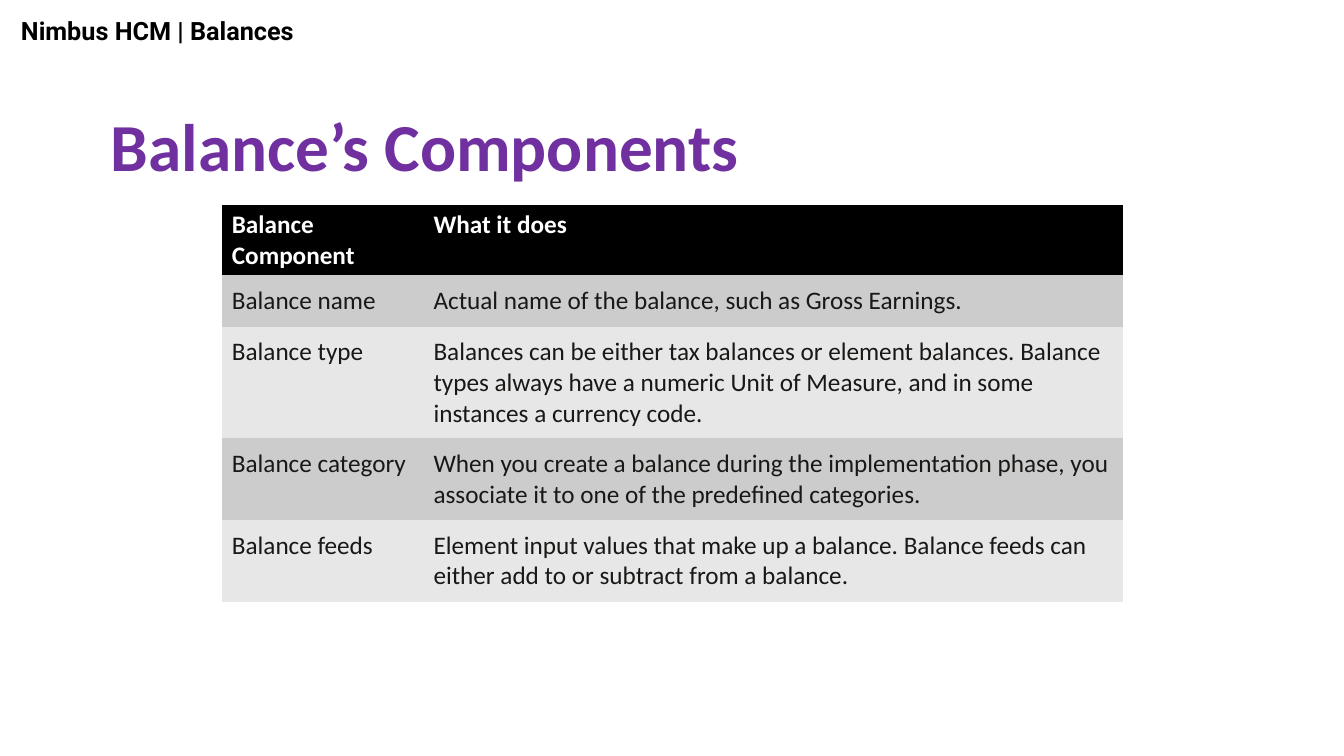
from pptx import Presentation
from pptx.dml.color import RGBColor
from pptx.enum.text import MSO_ANCHOR, PP_ALIGN
from pptx.oxml.ns import qn
from pptx.util import Inches, Pt

LEFT = PP_ALIGN.LEFT
TOP = MSO_ANCHOR.TOP
TITLE_ONLY_LAYOUT = 5
PLAIN_TABLE_STYLE = "{2D5ABB26-0587-4C30-8999-92F81FD0307C}"

COLUMN_WIDTHS = (2, 6.94)
ROW_HEIGHTS = (0.7, 0.51, 1.11, 0.81, 0.81)
HEADER_FILL = "000000"
BAND_FILLS = ("E7E7E7", "CCCCCC")
COMPONENTS = (
    ("Balance Component", "What it does"),
    ("Balance name", "Actual name of the balance, such as Gross Earnings."),
    ("Balance type",
     "Balances can be either tax balances or element balances. Balance types always "
     "have a numeric Unit of Measure, and in some instances a currency code."),
    ("Balance category",
     "When you create a balance during the implementation phase, you associate it "
     "to one of the predefined categories."),
    ("Balance feeds",
     "Element input values that make up a balance. Balance feeds can either add to "
     "or subtract from a balance."),
)


def color(value):
    return RGBColor.from_string(value)


def write_text(text_frame, text, size, font_name, font_color, bold):
    text_frame.text = text
    paragraph = text_frame.paragraphs[0]
    paragraph.alignment = LEFT
    font = paragraph.font
    font.size = Pt(size)
    font.name = font_name
    font.color.rgb = color(font_color)
    font.bold = bold


def add_course_label(slide):
    shape = slide.shapes.add_textbox(Inches(0.11), Inches(0.1), Inches(6.74), Inches(0.4))
    shape.text_frame.word_wrap = True
    write_text(shape.text_frame, "Nimbus HCM | Balances", 18, "Roboto", "000000", True)


def format_title(slide):
    title = slide.shapes.title
    title.left, title.top = Inches(1), Inches(0.98)
    title.width, title.height = Inches(6.49), Inches(0.91)
    title.text_frame.word_wrap = False
    title.text_frame.vertical_anchor = TOP
    write_text(title.text_frame, "Balance’s Components", 48, "Calibri", "7030A0", True)


def fill_cell(cell, text, row_index):
    is_header = row_index == 0
    cell.fill.solid()
    cell.fill.fore_color.rgb = color(HEADER_FILL if is_header else BAND_FILLS[row_index % 2])
    if not is_header:
        cell.margin_left = cell.margin_right = Inches(0.1)
        cell.margin_top = cell.margin_bottom = Inches(0.1)
    write_text(cell.text_frame, text, 18, "Calibri",
               "FFFFFF" if is_header else "1A1816", is_header)


def add_component_table(slide):
    table = slide.shapes.add_table(
        len(COMPONENTS), len(COLUMN_WIDTHS), Inches(2.2), Inches(2.03),
        Inches(sum(COLUMN_WIDTHS)), Inches(sum(ROW_HEIGHTS))).table
    table._tbl.tblPr.find(qn("a:tableStyleId")).text = PLAIN_TABLE_STYLE
    for column, width in zip(table.columns, COLUMN_WIDTHS):
        column.width = Inches(width)
    for row_index, texts in enumerate(COMPONENTS):
        row = table.rows[row_index]
        row.height = Inches(ROW_HEIGHTS[row_index])
        for cell, text in zip(row.cells, texts):
            fill_cell(cell, text, row_index)


def main():
    presentation = Presentation()
    presentation.slide_width = Inches(13.33)
    presentation.slide_height = Inches(7.5)
    slide = presentation.slides.add_slide(presentation.slide_layouts[TITLE_ONLY_LAYOUT])
    add_course_label(slide)
    format_title(slide)
    add_component_table(slide)
    presentation.save("out.pptx")


if __name__ == "__main__":
    main()
